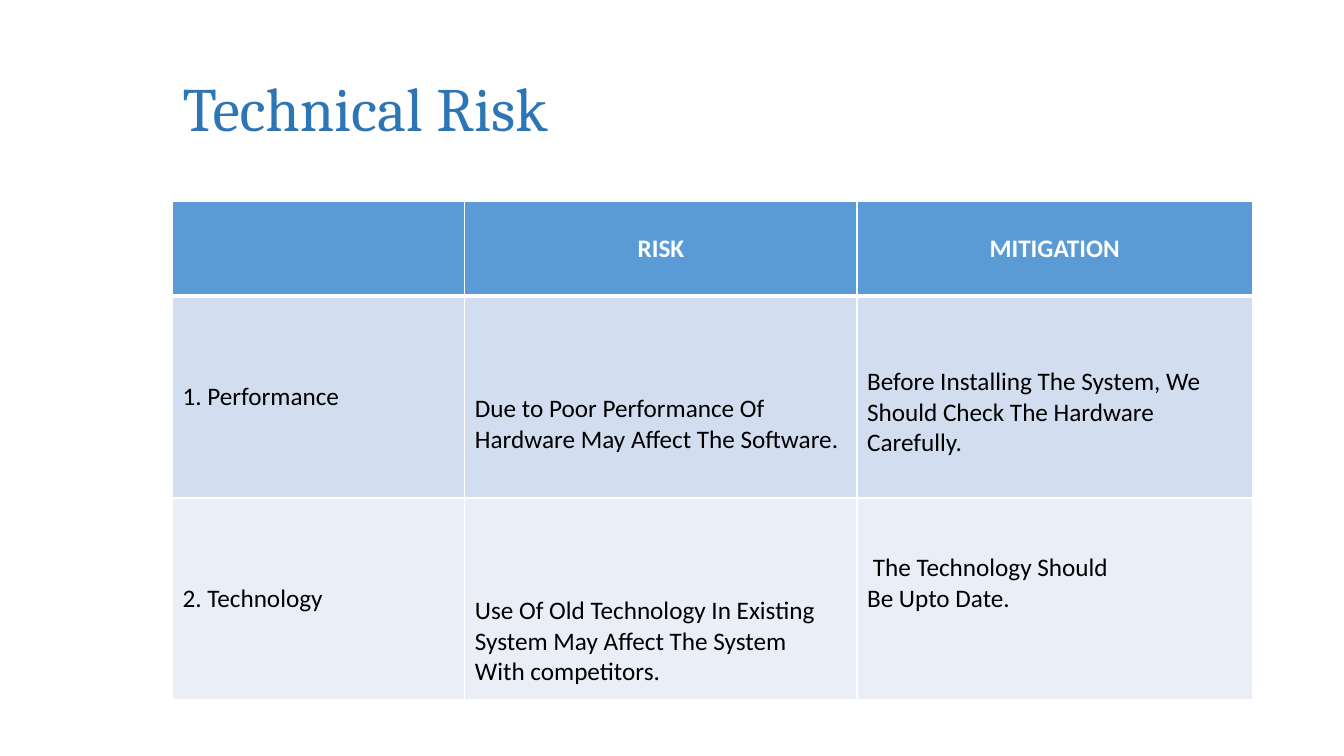
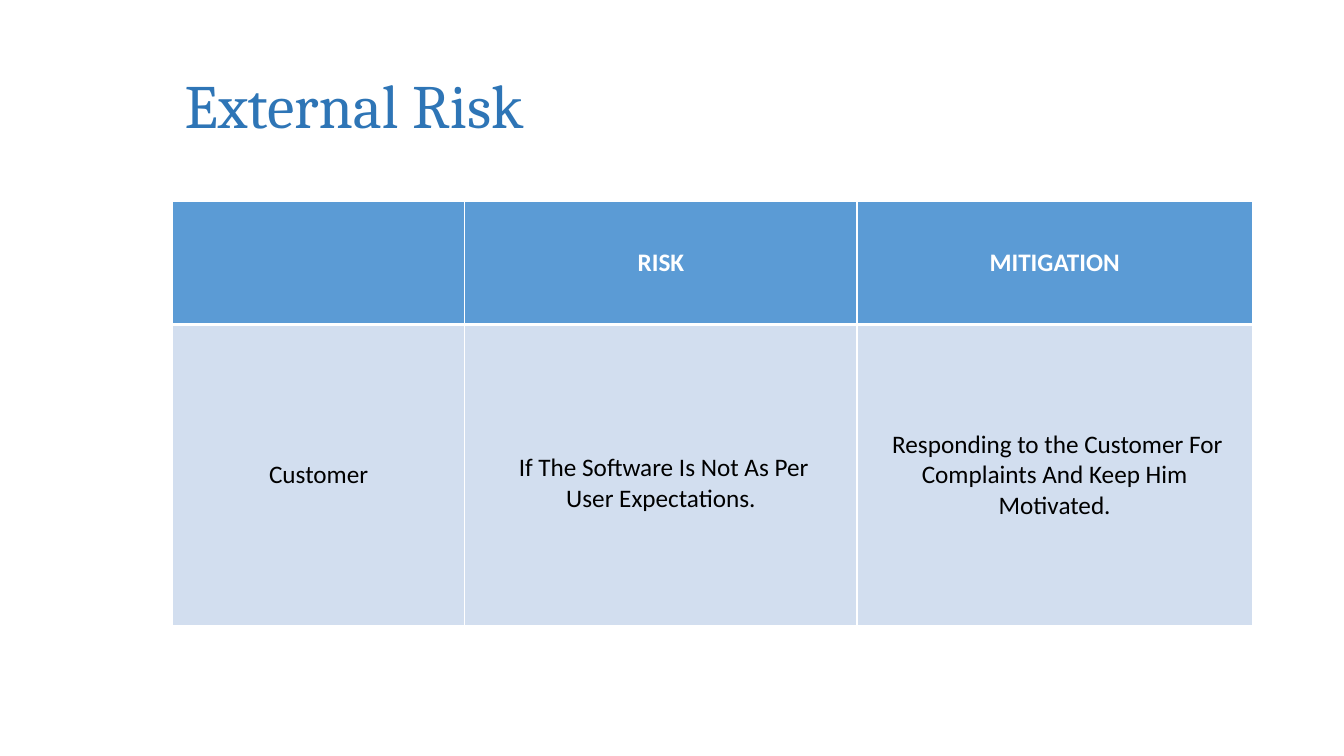
"""Build two risk slides, each with a title and a table of risks and mitigations."""
from lxml.etree import SubElement
from pptx import Presentation
from pptx.dml.color import RGBColor
from pptx.enum.text import MSO_ANCHOR, MSO_AUTO_SIZE, PP_ALIGN
from pptx.oxml.ns import qn
from pptx.util import Inches, Pt

WHITE, BLACK, TITLE_BLUE = "FFFFFF", "000000", "2E75B6"
HEADER_FILL, BAND_FILLS = "5B9BD5", ("D2DEEF", "EAEFF7")
LEFT, MIDDLE, TOP = PP_ALIGN.LEFT, MSO_ANCHOR.MIDDLE, MSO_ANCHOR.TOP
CENTER = PP_ALIGN.CENTER
HARD_SPACE = chr(160)
CELL_INSET, TEXT_LINE = Inches(0.05), Pt(22)

TABLE_LEFT, TABLE_TOP = 12.83, 26.67
COLUMN_SHARES = (21.76, 29.18, 29.41)
TITLE_WIDTH, TITLE_HEIGHT = 74.12, 19.33
HEADER = [("", CENTER, MIDDLE, 0, 0), ("RISK", CENTER, MIDDLE, 0, 0),
          ("MITIGATION", CENTER, MIDDLE, 0, 0)]

SLIDES = [
    {"title": "Technical Risk", "title_at": (12.83, 5.07), "row_shares": (12.53, 26.67, 26.67),
     "rows": [
         [("1. Performance", LEFT, MIDDLE, 0, 0),
          ("Due to Poor Performance Of Hardware May Affect The Software.", LEFT, TOP, 3, 0),
          ("Before Installing The System, We Should Check The Hardware Carefully.",
           LEFT, MIDDLE, 1, 0)],
         [("2. Technology", LEFT, MIDDLE, 0, 0),
          (f"Use Of Old Technology In Existing System May Affect The System "
           f"With{HARD_SPACE}competitors.", LEFT, TOP, 3, 0),
          (f"{HARD_SPACE}The Technology Should Be{HARD_SPACE}Upto{HARD_SPACE}Date.",
           LEFT, MIDDLE, 0, 1)],
     ]},
    {"title": "External Risk", "title_at": (12.98, 4.67), "row_shares": (16.27, 39.87),
     "rows": [
         [("Customer", CENTER, MIDDLE, 0, 0),
          (f"{HARD_SPACE}If The Software Is Not As Per User{HARD_SPACE}Expectations.",
           CENTER, TOP, 4, 0),
          (f"{HARD_SPACE}Responding to the Customer For Complaints And Keep Him Motivated.",
           CENTER, MIDDLE, 0, 0)],
     ]},
]


def color(hex_string):
    return RGBColor.from_string(hex_string)


def write(frame, text, *, size, font, ink, bold=False, align=LEFT, spacing=1.0):
    frame.word_wrap = True
    paragraph = frame.paragraphs[0]
    paragraph.alignment = align
    paragraph.line_spacing = spacing
    run = paragraph.add_run()
    run.text = text
    run.font.size, run.font.name, run.font.bold = Pt(size), font, bold
    run.font.color.rgb = color(ink)


presentation = Presentation()
presentation.slide_width, presentation.slide_height = Inches(13.33), Inches(7.5)
horizontal, vertical = presentation.slide_width / 100, presentation.slide_height / 100

for content in SLIDES:
    slide = presentation.slides.add_slide(presentation.slide_layouts[5])
    title = slide.shapes.title
    title_left, title_top = content["title_at"]
    title.left, title.top = int(title_left * horizontal), int(title_top * vertical)
    title.width, title.height = int(TITLE_WIDTH * horizontal), int(TITLE_HEIGHT * vertical)
    title.text_frame.auto_size = MSO_AUTO_SIZE.NONE
    title.text_frame.vertical_anchor = MIDDLE
    write(title.text_frame, content["title"], size=44, font="Cambria", ink=TITLE_BLUE, spacing=0.9)

    rows = [HEADER] + content["rows"]
    table = slide.shapes.add_table(
        len(rows), len(COLUMN_SHARES), int(TABLE_LEFT * horizontal), int(TABLE_TOP * vertical),
        int(sum(COLUMN_SHARES) * horizontal), int(sum(content["row_shares"]) * vertical)).table
    for column, share in zip(table.columns, COLUMN_SHARES):
        column.width = int(share * horizontal)
    for row, share in zip(table.rows, content["row_shares"]):
        row.height = int(share * vertical)

    for row_index, row in enumerate(rows):
        is_header = row_index == 0
        widths = {"L": 1, "R": 1, "T": 3 if row_index == 1 else 1, "B": 3 if is_header else 1}
        for column_index, (text, align, anchor, lines_above, lines_below) in enumerate(row):
            cell = table.cell(row_index, column_index)
            properties = cell._tc.get_or_add_tcPr()
            for side, width in widths.items():
                border = SubElement(properties, qn(f"a:ln{side}"), w=str(Pt(width)))
                SubElement(SubElement(border, qn("a:solidFill")), qn("a:srgbClr"), val=WHITE)
            cell.fill.solid()
            cell.fill.fore_color.rgb = color(
                HEADER_FILL if is_header else BAND_FILLS[(row_index - 1) % 2])
            cell.vertical_anchor = anchor
            cell.margin_top = CELL_INSET + lines_above * TEXT_LINE
            cell.margin_bottom = CELL_INSET + lines_below * TEXT_LINE
            if text:
                write(cell.text_frame, text, size=18, font="Calibri", bold=is_header,
                      ink=WHITE if is_header else BLACK, align=align)

presentation.save("out.pptx")
